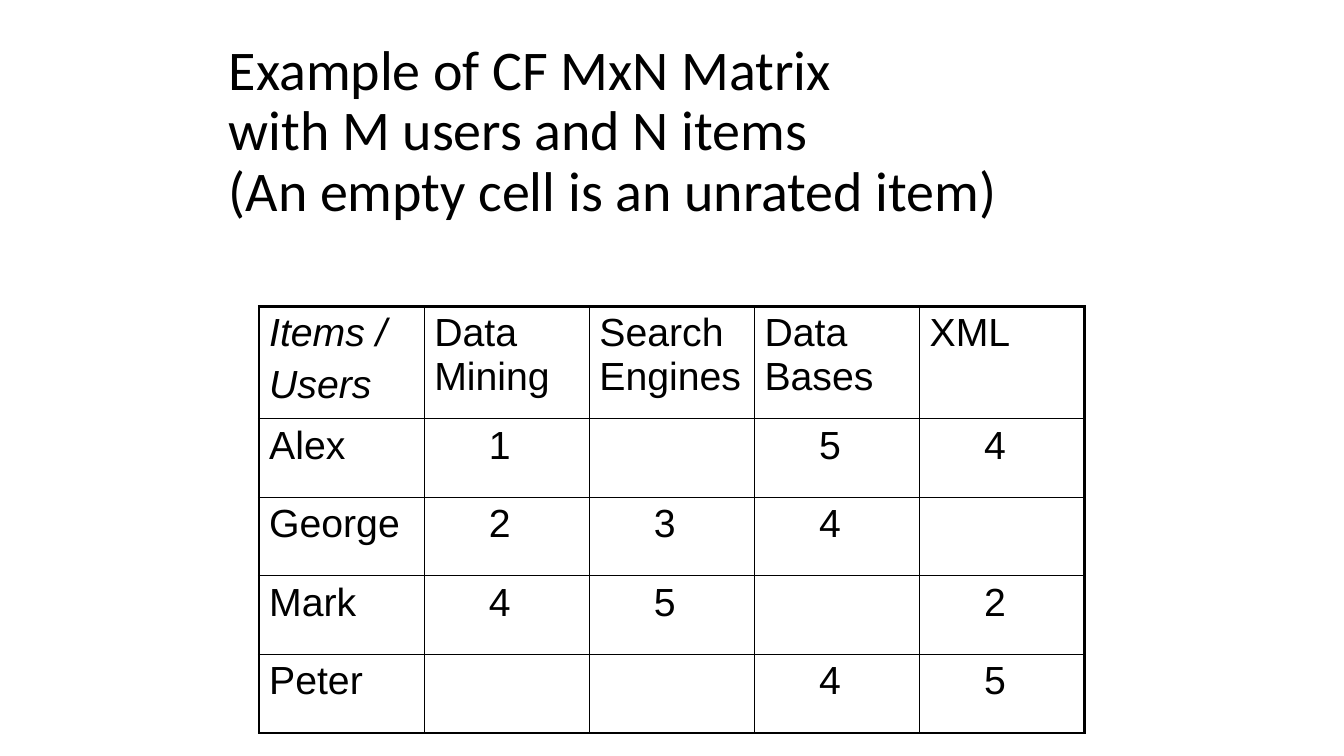
from lxml import etree
from pptx import Presentation
from pptx.dml.color import RGBColor
from pptx.enum import text
from pptx.oxml.ns import qn
from pptx.util import Inches, Pt

BLACK = RGBColor(0, 0, 0)
TITLE = ("Example of CF MxN Matrix\vwith M users and N items\v"
         "(An empty cell is an unrated item)")
ROWS = [
    ["Items /\nUsers", "Data Mining", "Search Engines", "Data Bases", "XML"],
    ["Alex", "1", "", "5", "4"],
    ["George", "2", "3", "4", ""],
    ["Mark", "4", "5", "", "2"],
    ["Peter", "", "", "4", "5"],
]
THIN, THICK = Pt(1), Pt(2.25)


def style(para, font, size, italic=False):
    for run in para.runs:
        run.font.name = font
        run.font.size = Pt(size)
        run.font.italic = italic
        run.font.color.rgb = BLACK


def add_title(slide):
    box = slide.shapes.add_textbox(
        Inches(2.17), Inches(0.3), Inches(9.07), Inches(2.03))
    frame = box.text_frame
    frame.word_wrap = True
    frame.vertical_anchor = text.MSO_ANCHOR.MIDDLE
    para = frame.paragraphs[0]
    para.text = TITLE
    para.line_spacing = 0.9
    style(para, "Calibri", 40)


def set_edges(cell, widths):
    """Draw the left, right, top and bottom borders, in that order."""
    props = cell._tc.get_or_add_tcPr()
    for i, (side, width) in enumerate(zip("LRTB", widths)):
        line = etree.Element(qn(f"a:ln{side}"), w=str(int(width)))
        fill = etree.SubElement(line, qn("a:solidFill"))
        etree.SubElement(fill, qn("a:srgbClr"), val=str(BLACK))
        props.insert(i, line)


def fill_cell(cell, words, italic):
    cell.fill.background()
    if words.isdigit():
        cell.margin_left = Inches(0.64)
    cell.text_frame.text = words
    for i, para in enumerate(cell.text_frame.paragraphs):
        if i:
            para.space_before = Pt(5.6)
        style(para, "Arial", 28, italic)


def add_matrix(slide):
    count, last = len(ROWS), len(ROWS[0]) - 1
    table = slide.shapes.add_table(
        count, last + 1, Inches(2.57), Inches(3.04),
        Inches(8.19), Inches(4.17)).table
    table.first_row = table.horz_banding = False
    for col in table.columns:
        col.width = Inches(1.638)
    for r, row in enumerate(ROWS):
        table.rows[r].height = Inches(0.78 if r else 1.05)
        for c, words in enumerate(row):
            cell = table.cell(r, c)
            fill_cell(cell, words, italic=r == c == 0)
            outer = (c == 0, c == last, r == 0, r == count - 1)
            set_edges(cell, [THICK if edge else THIN for edge in outer])


def main():
    deck = Presentation()
    deck.slide_width, deck.slide_height = Inches(13.33), Inches(7.5)
    slide = deck.slides.add_slide(deck.slide_layouts[6])
    add_title(slide)
    add_matrix(slide)
    deck.save("out.pptx")


if __name__ == "__main__":
    main()
